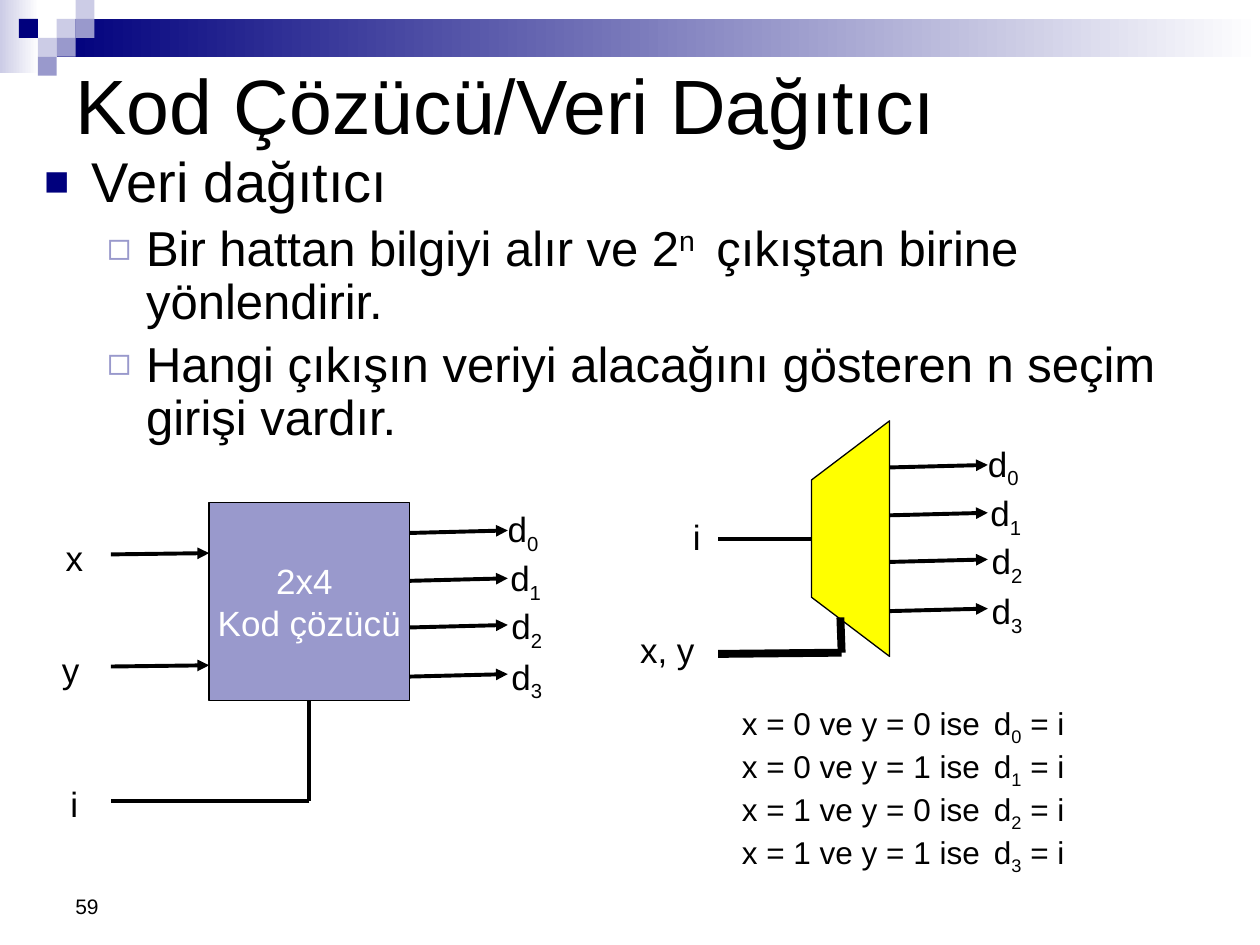
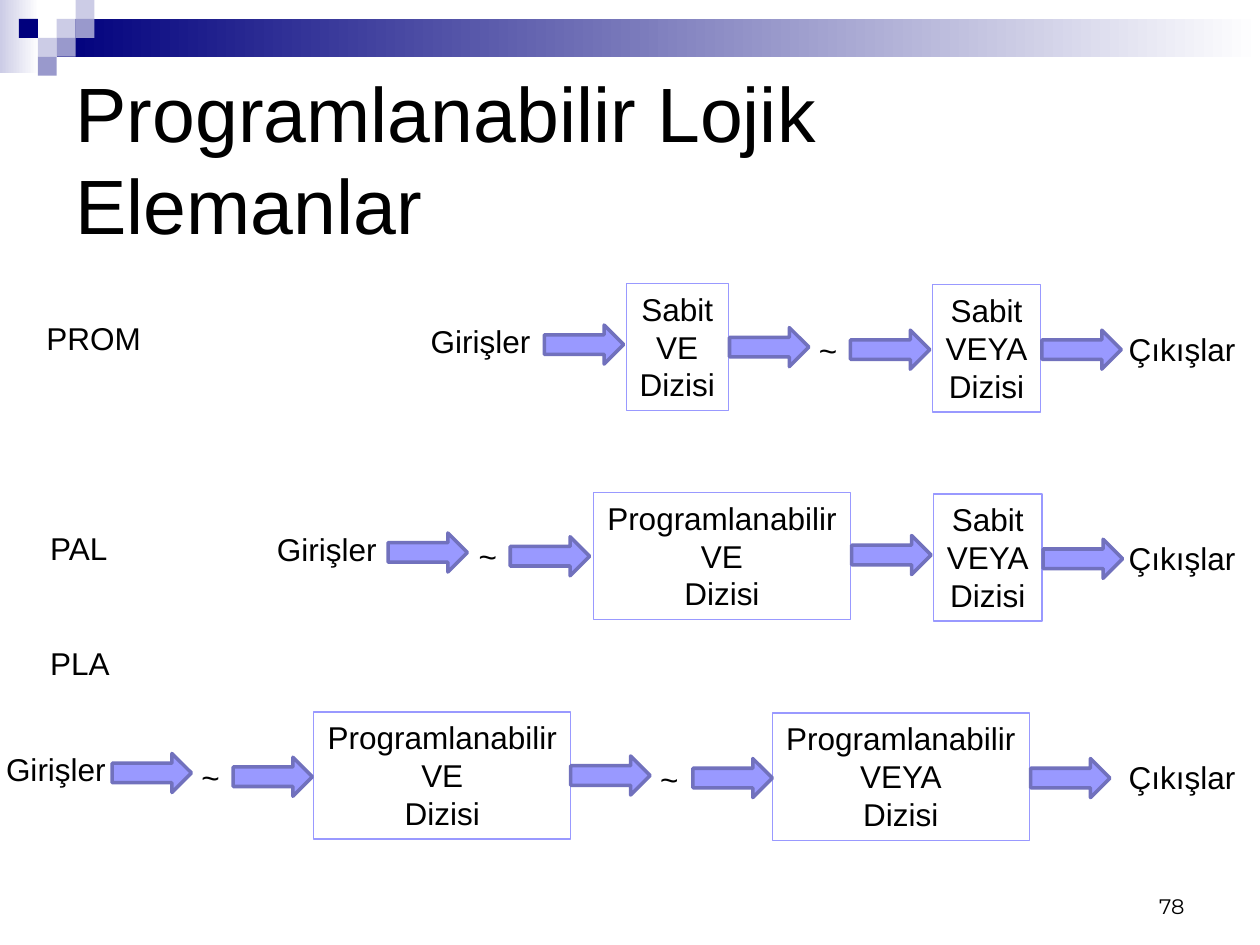
"""Builds two slides on demultiplexers and programmable logic devices."""
from lxml.etree import SubElement
from pptx import Presentation
from pptx.dml.color import RGBColor
from pptx.enum.shapes import MSO_CONNECTOR, MSO_SHAPE
from pptx.enum.text import MSO_ANCHOR, MSO_AUTO_SIZE, PP_ALIGN
from pptx.oxml.ns import qn
from pptx.util import Inches, Pt

BLACK = RGBColor(0x00, 0x00, 0x00)
WHITE = RGBColor(0xFF, 0xFF, 0xFF)
NAVY = RGBColor(0x00, 0x00, 0x7D)
LAVENDER = RGBColor(0x99, 0x99, 0xCC)
PALE = RGBColor(0xCC, 0xCC, 0xE6)
YELLOW = RGBColor(0xFF, 0xFF, 0x00)
VIOLET = RGBColor(0x99, 0x99, 0xFF)
DARK_VIOLET = RGBColor(0x71, 0x71, 0xBD)
FONT = "Arial"
SUB, SUPER = -25000, 30000

CELL = 0.15
BANDS = [((0, 0, 0.31, 0.58), PALE), ((0.45, 0.15, 9.55, 0.3), NAVY)]
SQUARES = [(3, 1, PALE), (4, 0, PALE), (4, 1, LAVENDER), (2, 2, PALE),
           (1, 1, NAVY), (3, 2, LAVENDER), (2, 3, LAVENDER)]

DEMUX_TITLE = "Kod Çözücü/Veri Dağıtıcı"
DEMUX_POINTS = [
    (0, ["Veri dağıtıcı"]),
    (1, ["Bir hattan bilgiyi alır ve 2", ("n ", SUPER), " çıkıştan birine yönlendirir."]),
    (1, ["Hangi çıkışın veriyi alacağını gösteren n seçim girişi vardır."]),
]
POINT_STYLES = [(32, 0.38, 0.38, "■", NAVY, 75), (28, 0.81, 0.31, "◻", LAVENDER, 80)]
DECODER = (1.66, 3.99, 1.59, 1.57)
DECODER_INPUTS = [("x", 0.52, 4.26, 4.4), ("y", 0.49, 5.15, 5.29)]
OUTPUTS = [(0, 0, -0.2), (0.38, 0.02, 0.19), (0.75, 0.03, 0.57), (1.14, 0.03, 0.97)]
OUTPUT_LENGTH = 0.78
MUX_OUTLINE = [(7.06, 3.34), (6.44, 3.81), (6.44, 4.74), (7.06, 5.21)]
RULES = [("0", "0"), ("0", "1"), ("1", "0"), ("1", "1")]

DEVICES_TITLE = "Programlanabilir Lojik Elemanlar"
DEVICE_NAMES = [("PROM", 0.27, 2.48, 0.96), ("PAL", 0.3, 4.15, 0.66), ("PLA", 0.3, 5.06, 0.68)]
FIXED, PROGRAMMABLE = "Sabit", "Programlanabilir"
ARRAY_HEIGHT = 1.01
OUTPUT_LEFT = 8.86
FLOWS = [
    {"top": 2.25, "input": (3.32, 0.26), "output": 0.32, "tildes": [(6.4, 0.33)],
     "arrays": [(4.97, 0.81, FIXED, "VE"), (7.4, 0.86, FIXED, "VEYA")],
     "arrows": [(4.32, 0.33), (5.79, 0.35), (6.75, 0.37), (8.27, 0.37)]},
    {"top": 3.91, "input": (2.1, 0.25), "output": 0.32, "tildes": [(3.7, 0.3)],
     "arrays": [(4.71, 2.04, PROGRAMMABLE, "VE"), (7.41, 0.86, FIXED, "VEYA")],
     "arrows": [(3.08, 0.32), (4.05, 0.35), (6.76, 0.34), (8.28, 0.37)]},
    {"top": 5.65, "input": (-0.05, 0.25), "output": 0.32,
     "tildes": [(1.5, 0.32), (5.14, 0.33)],
     "arrays": [(2.49, 2.04, PROGRAMMABLE, "VE"), (6.13, 2.04, PROGRAMMABLE, "VEYA")],
     "arrows": [(0.89, 0.33), (1.85, 0.36), (4.53, 0.35), (5.5, 0.37), (8.18, 0.37)]},
]


def inches(lengths):
    return [Inches(length) for length in lengths]


def add_runs(paragraph, runs, size, color=BLACK, font=FONT):
    for part in runs:
        text, baseline = part if isinstance(part, tuple) else (part, 0)
        run = paragraph.add_run()
        run.text = text
        run.font.size, run.font.name = Pt(size), font
        run.font.color.rgb = color
        if baseline:
            run.font._element.set("baseline", str(baseline))


def write(frame, lines, size, color=BLACK, align=PP_ALIGN.LEFT, font=FONT):
    for index, runs in enumerate(lines):
        paragraph = frame.add_paragraph() if index else frame.paragraphs[0]
        paragraph.alignment = align
        add_runs(paragraph, runs, size, color, font)


def label(slide, at, lines, size, inset=None, wrap=False, grow=True,
          anchor=MSO_ANCHOR.TOP, **style):
    frame = slide.shapes.add_textbox(*inches(at)).text_frame
    frame.word_wrap = wrap
    frame.vertical_anchor = anchor
    frame.auto_size = MSO_AUTO_SIZE.SHAPE_TO_FIT_TEXT if grow else MSO_AUTO_SIZE.NONE
    if inset is not None:
        frame.margin_left = frame.margin_right = Inches(inset)
        frame.margin_top = frame.margin_bottom = Inches(inset)
    write(frame, lines, size, **style)


def signal(slide, left, top, width, *runs):
    label(slide, (left, top, width, 0.33), [runs], 20, inset=0)


def paint(shape, fill=None, line=None, weight=0.75):
    shape.shadow.inherit = False
    if fill is None:
        shape.fill.background()
    else:
        shape.fill.solid()
        shape.fill.fore_color.rgb = fill
    if line is None:
        shape.line.fill.background()
    else:
        shape.line.color.rgb = line
        shape.line.width = Pt(weight)


def block(slide, at, kind=MSO_SHAPE.RECTANGLE, **look):
    shape = slide.shapes.add_shape(kind, *inches(at))
    paint(shape, **look)
    return shape


def wire(slide, start, end, weight=2.25, arrow=False):
    line = slide.shapes.add_connector(MSO_CONNECTOR.STRAIGHT, *inches(start + end))
    line.line.color.rgb = BLACK
    line.line.width = Pt(weight)
    if arrow:
        SubElement(line.line._get_or_add_ln(), qn("a:tailEnd"), type="triangle")
    SubElement(line._element.spPr, qn("a:effectLst"))
    return line


def start_slide(prs, layout, title, title_height, number, number_left, **number_style):
    slide = prs.slides.add_slide(prs.slide_layouts[layout])
    for at, color in BANDS:
        band = block(slide, at)
        band.fill.gradient()
        band.fill.gradient_angle = 0
        for stop, stop_color in zip(band.fill.gradient_stops, (color, WHITE)):
            stop.color.rgb = stop_color
    for column, row, color in SQUARES:
        block(slide, (column * CELL, row * CELL, CELL, CELL), fill=color)
    heading = slide.shapes.title
    heading.left, heading.top, heading.width, heading.height = inches((0.5, 0.5, 9, title_height))
    heading.text_frame.auto_size = MSO_AUTO_SIZE.NONE
    heading.text_frame.vertical_anchor = MSO_ANCHOR.MIDDLE
    write(heading.text_frame, [[title]], 44)
    label(slide, (number_left, 6.83, 2.33, 0.51), [[number]], 12, wrap=True, grow=False,
          anchor=MSO_ANCHOR.BOTTOM, **number_style)
    return slide


def fill_points(body):
    body.left, body.top, body.width, body.height = inches((0.25, 1.17, 9.58, 2.26))
    frame = body.text_frame
    frame.auto_size = MSO_AUTO_SIZE.NONE
    for index, (level, runs) in enumerate(DEMUX_POINTS):
        size, margin, hanging, mark, color, percent = POINT_STYLES[level]
        paragraph = frame.add_paragraph() if index else frame.paragraphs[0]
        paragraph.level = level
        props = paragraph._p.get_or_add_pPr()
        props.set("marL", str(Inches(margin)))
        props.set("indent", str(-Inches(hanging)))
        SubElement(SubElement(props, qn("a:buClr")), qn("a:srgbClr"), val=str(color))
        SubElement(props, qn("a:buSzPct"), val=str(percent * 1000))
        SubElement(props, qn("a:buFont"), typeface=FONT)
        SubElement(props, qn("a:buChar"), char=mark)
        paragraph.line_spacing = 0.9
        paragraph.space_before = Pt(size * 0.2 if index else 0)
        add_runs(paragraph, runs, size)


def draw_outputs(slide, left, top):
    end = left + OUTPUT_LENGTH
    for index, (drop, shift, label_drop) in enumerate(OUTPUTS):
        y = top + drop
        wire(slide, (left, y), (end, y - 0.02), arrow=True)
        signal(slide, end + shift, top + label_drop, 0.27, "d", (str(index), SUB))


def draw_decoder(slide):
    left, top, width, height = DECODER
    decoder = block(slide, DECODER, fill=LAVENDER, line=BLACK)
    decoder.text_frame.word_wrap = False
    decoder.text_frame.vertical_anchor = MSO_ANCHOR.MIDDLE
    write(decoder.text_frame, [["2x4 "], ["Kod çözücü"]], 20, WHITE, PP_ALIGN.CENTER)
    for name, name_left, name_top, y in DECODER_INPUTS:
        wire(slide, (0.88, y), (left, y - 0.01), arrow=True)
        signal(slide, name_left, name_top, 0.15, name)
    draw_outputs(slide, left + width, 4.23)
    middle, turn = left + width / 2, 6.36
    drop = wire(slide, (middle, top + height), (middle, turn))
    drop.begin_connect(decoder, 2)
    wire(slide, (middle, turn), (0.88, turn))
    signal(slide, 0.56, 6.21, 0.06, "i")


def draw_demux(slide):
    first, *others = [inches(point) for point in MUX_OUTLINE]
    outline = slide.shapes.build_freeform(*first, scale=1.0)
    outline.add_line_segments(others, close=True)
    paint(outline.convert_to_shape(), YELLOW, BLACK)
    draw_outputs(slide, 7.06, 3.71)
    wire(slide, (5.7, 4.28), (6.44, 4.28))
    signal(slide, 5.5, 4.09, 0.06, "i")
    wire(slide, (6.67, 4.9), (6.68, 5.18), weight=4.5)
    wire(slide, (6.68, 5.18), (5.7, 5.19), weight=4.5)
    signal(slide, 5.08, 4.99, 0.47, "x, y")


def draw_flow(slide, flow):
    top = flow["top"]
    input_left, input_drop = flow["input"]
    texts = [(input_left, input_drop, 1, "Girişler"),
             (OUTPUT_LEFT, flow["output"], 1.06, "Çıkışlar")]
    texts += [(left, drop, 0.35, "~") for left, drop in flow["tildes"]]
    for left, drop, width, text in texts:
        label(slide, (left, top + drop, width, 0.4), [[text]], 18)
    for index, (left, width, kind, gate) in enumerate(flow["arrays"]):
        array = block(slide, (left, top + index * 0.01, width, ARRAY_HEIGHT), line=VIOLET)
        frame = array.text_frame
        frame.word_wrap = False
        frame.vertical_anchor = MSO_ANCHOR.TOP
        frame.auto_size = MSO_AUTO_SIZE.SHAPE_TO_FIT_TEXT
        write(frame, [[kind], [gate], ["Dizisi"]], 18, align=PP_ALIGN.CENTER)
    for left, drop in flow["arrows"]:
        block(slide, (left, top + drop, 0.63, 0.31), MSO_SHAPE.RIGHT_ARROW,
              fill=VIOLET, line=DARK_VIOLET, weight=2)


def main():
    prs = Presentation()
    prs.slide_width, prs.slide_height = Inches(10), Inches(7.5)

    demux = start_slide(prs, 1, DEMUX_TITLE, 0.65, "59", 0.5)
    fill_points(demux.placeholders[1])
    draw_decoder(demux)
    draw_demux(demux)
    rules = [[f"x = {x} ve y = {y} ise\td", (str(index), SUB), " = i"]
             for index, (x, y) in enumerate(RULES)]
    label(demux, (5.79, 5.54, 3.46, 1.31), rules, 18, wrap=True)

    devices = start_slide(prs, 5, DEVICES_TITLE, 1.5, "78", 7.17,
                          align=PP_ALIGN.RIGHT, font="Montserrat")
    for name, left, top, width in DEVICE_NAMES:
        label(devices, (left, top, width, 0.4), [[name]], 18)
    for flow in FLOWS:
        draw_flow(devices, flow)

    prs.save("out.pptx")


if __name__ == "__main__":
    main()
